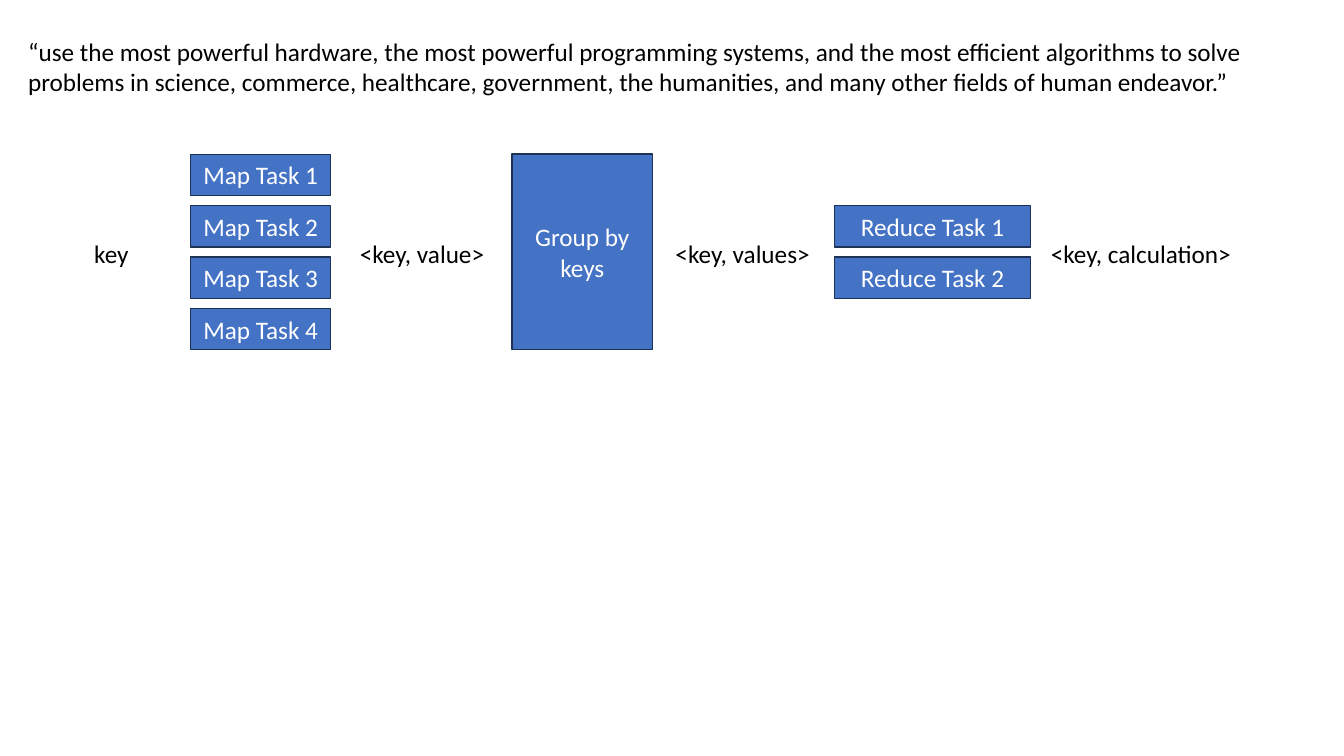
from pptx import Presentation
from pptx.dml.color import RGBColor
from pptx.enum.shapes import MSO_SHAPE as Shape
from pptx.enum.text import MSO_ANCHOR as Anchor, MSO_AUTO_SIZE as Fit, PP_ALIGN as Align
from pptx.util import Inches, Pt

BLUE = RGBColor(0x44, 0x72, 0xC4)
NAVY = RGBColor(0x1E, 0x32, 0x56)
BLACK = RGBColor(0, 0, 0)
WHITE = RGBColor(255, 255, 255)

TOP, STEP, BAR = 1.53, 0.51, 0.41  # first row, row pitch, bar height
MAP_X, GROUP_X, REDUCE_X = 1.89, 5.08, 8.28
SLIM, WIDE = 1.39, 1.94

deck = Presentation()
deck.slide_width, deck.slide_height = Inches(13.33), Inches(7.5)
slide = deck.slides.add_slide(deck.slide_layouts[6])


def write(frame, text, color=BLACK, align=Align.CENTER, wrap=True):
    frame.word_wrap = wrap
    para = frame.paragraphs[0]
    para.alignment = align
    run = para.add_run()
    run.text = text
    font = run.font
    font.name, font.size, font.color.rgb = "Calibri", Pt(18), color


def place(text, left, top, width, height, box=False, **style):
    """Add a filled box or a plain label, sized in inches."""
    area = [Inches(n) for n in (left, top, width, height)]
    if box:
        item = slide.shapes.add_shape(Shape.RECTANGLE, *area)
        item.shadow.inherit = False
        item.fill.solid()
        item.fill.fore_color.rgb = BLUE
        item.line.color.rgb = NAVY
        item.line.width = Pt(1)
        item.text_frame.vertical_anchor = Anchor.MIDDLE
        style["color"] = WHITE
    else:
        item = slide.shapes.add_textbox(*area)
        item.text_frame.auto_size = Fit.SHAPE_TO_FIT_TEXT
    write(item.text_frame, text, **style)


place("“use the most powerful hardware, the most powerful programming systems, "
      "and the most efficient algorithms to solve problems in science, commerce, "
      "healthcare, government, the humanities, and many other fields of human endeavor.”",
      0.18, 0.31, 12.82, 0.71, align=Align.LEFT)

for row in range(4):
    place(f"Map Task {row + 1}", MAP_X, TOP + row * STEP, SLIM, BAR, box=True)

place("Group by keys", GROUP_X, TOP, SLIM, 3 * STEP + BAR, box=True)

for row in (1, 2):
    place(f"Reduce Task {row}", REDUCE_X, TOP + row * STEP, WIDE, BAR, box=True)

for text, left, width in (
    ("key", 0.83, 0.55),
    ("<key, value>", 3.46, 1.45),
    ("<key, values>", 6.59, 1.55),
    ("<key, calculation>", 10.31, 2.01),
):
    place(text, left, 2.32, width, 0.4, wrap=False)

deck.save("out.pptx")
